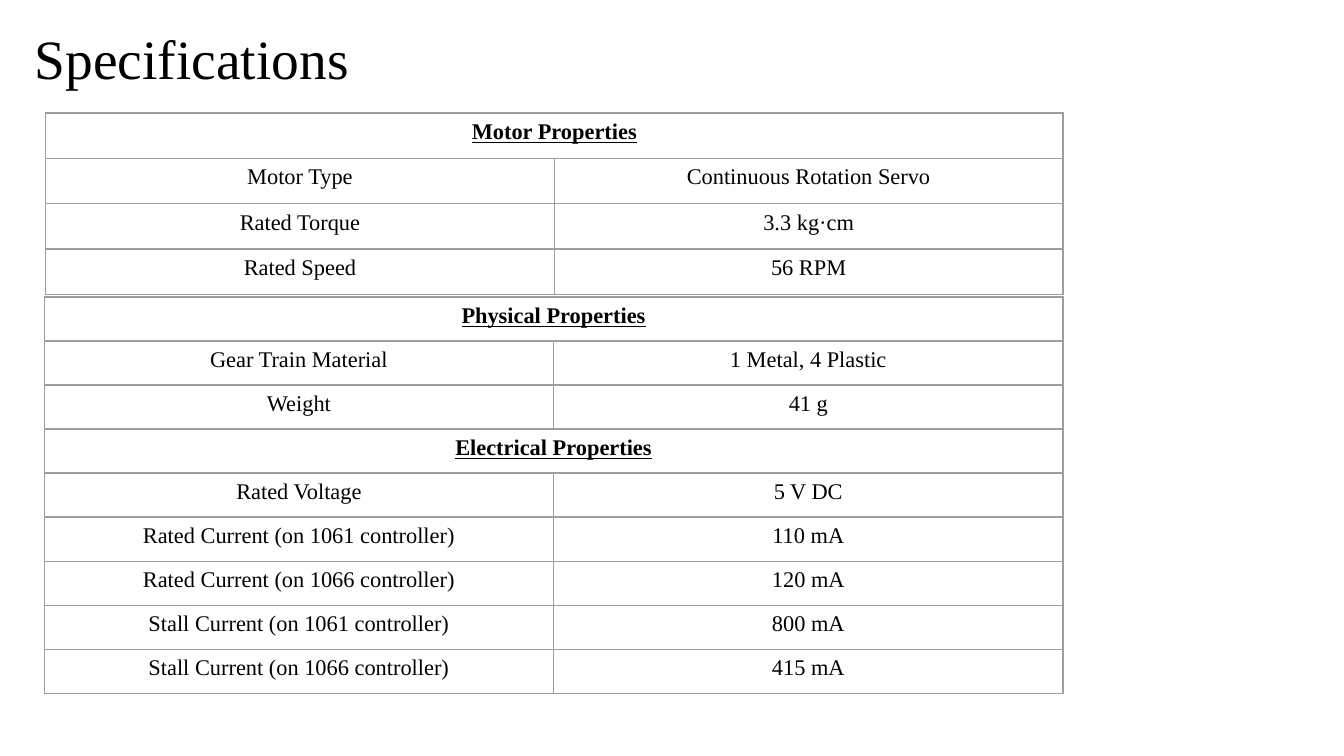
import pptx
import pptx.dml.color
import pptx.enum.text
import pptx.oxml.ns
import pptx.util
from lxml import etree

Inches = pptx.util.Inches
Pt = pptx.util.Pt
BLACK = pptx.dml.color.RGBColor(0x00, 0x00, 0x00)
GRID = pptx.dml.color.RGBColor(0x9E, 0x9E, 0x9E)
FONT = "Times New Roman"

# Content: a row with one entry is a section heading
TITLE = "Specifications"
MOTOR_ROWS = [
    ("Motor Properties",),
    ("Motor Type", "Continuous Rotation Servo"),
    ("Rated Torque", "3.3 kg·cm"),
    ("Rated Speed", "56 RPM"),
]
PHYSICAL_AND_ELECTRICAL_ROWS = [
    ("Physical Properties",),
    ("Gear Train Material", "1 Metal, 4 Plastic"),
    ("Weight", "41 g"),
    ("Electrical Properties",),
    ("Rated Voltage", "5 V DC"),
    ("Rated Current (on 1061 controller)", "110 mA"),
    ("Rated Current (on 1066 controller)", "120 mA"),
    ("Stall Current (on 1061 controller)", "800 mA"),
    ("Stall Current (on 1066 controller)", "415 mA"),
]
# Left, top, width, height, rows
TABLES = [
    (0.34, 0.84, 7.57, 1.35, MOTOR_ROWS),
    (0.33, 2.21, 7.58, 2.95, PHYSICAL_AND_ELECTRICAL_ROWS),
]


def add_span(para, text, size, bold=False, underline=False):
    span = para.add_run()
    span.text = text
    span.font.name = FONT
    span.font.size = Pt(size)
    span.font.color.rgb = BLACK
    span.font.bold = bold
    span.font.underline = underline


def format_cell(cell):
    cell.margin_left = cell.margin_right = Inches(0.05)
    cell.margin_top = cell.margin_bottom = Inches(0.05)
    properties = cell._tc.get_or_add_tcPr()
    qn = pptx.oxml.ns.qn
    for side in ("a:lnL", "a:lnR", "a:lnT", "a:lnB"):
        line = etree.SubElement(properties, qn(side), w=str(Pt(0.75)))
        fill = etree.SubElement(line, qn("a:solidFill"))
        etree.SubElement(fill, qn("a:srgbClr"), val=str(GRID))
    cell.fill.background()


def add_property_table(page, left, top, width, height, rows):
    frame = page.shapes.add_table(
        len(rows), 2, Inches(left), Inches(top), Inches(width), Inches(height))
    table = frame.table
    table.first_row = False
    table.horz_banding = False
    for row_index, entries in enumerate(rows):
        heading = len(entries) == 1
        for column in range(2):
            format_cell(table.cell(row_index, column))
        if heading:
            table.cell(row_index, 0).merge(table.cell(row_index, 1))
        for column, text in enumerate(entries):
            para = table.cell(row_index, column).text_frame.paragraphs[0]
            para.alignment = pptx.enum.text.PP_ALIGN.CENTER
            add_span(para, text, 12, bold=heading, underline=heading)


# Widescreen page, 16 to 9
deck = pptx.Presentation()
deck.slide_width = Inches(10)
deck.slide_height = deck.slide_width * 9 // 16
page = deck.slides.add_slide(deck.slide_layouts[6])

# Title, raised by a deep bottom margin
box = page.shapes.add_textbox(Inches(0.16), Inches(0.16), Inches(8.62), Inches(1.09))
box.text_frame.word_wrap = True
box.text_frame.vertical_anchor = pptx.enum.text.MSO_ANCHOR.MIDDLE
box.text_frame.margin_bottom = Inches(0.54)
title_para = box.text_frame.paragraphs[0]
title_para.line_spacing = 0.9
add_span(title_para, TITLE, 29.7)

# Property tables
for table_place in TABLES:
    add_property_table(page, *table_place)

deck.save("out.pptx")
